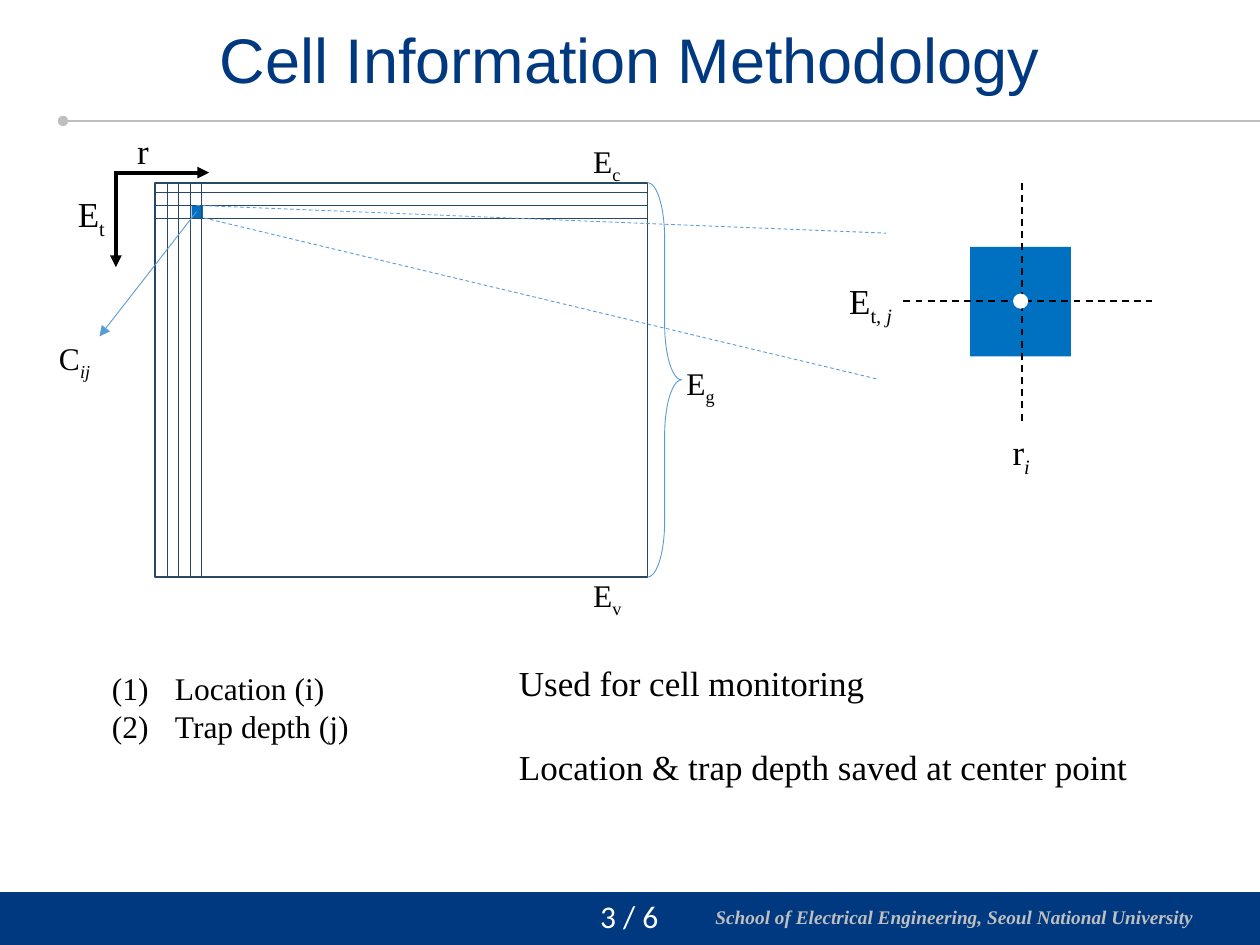
import pptx
import pptx.util
import pptx.oxml
import pptx.oxml.ns
from pptx.dml.color import RGBColor
from pptx.enum.dml import MSO_LINE
from pptx.enum.shapes import MSO_CONNECTOR, MSO_SHAPE
from pptx.enum.text import MSO_ANCHOR, MSO_AUTO_SIZE, PP_ALIGN
from pptx.util import Inches

HUE = {"navy": "00397F", "grey": "BFBFBF", "blue": "0070C0", "sky": "5B9BD5",
       "grid": "284866", "black": "000000", "white": "FFFFFF"}
rgb = {name: RGBColor.from_string(code) for name, code in HUE.items()}
SERIF = "Times New Roman"

deck = pptx.Presentation()
deck.slide_width, deck.slide_height = Inches(10), Inches(7.5)
slide = deck.slides.add_slide(deck.slide_layouts[5])
shapes = slide.shapes


def rule(x1, y1, x2, y2, hue, width, dash=False, **ends):
    """Draw a line; ends maps headEnd or tailEnd to an arrowhead type."""
    line = shapes.add_connector(MSO_CONNECTOR.STRAIGHT, Inches(x1), Inches(y1),
                                Inches(x2), Inches(y2))
    line.line.color.rgb = rgb[hue]
    line.line.width = pptx.util.Pt(width)
    if dash:
        line.line.dash_style = MSO_LINE.DASH
    props = line._element.spPr
    stroke = line.line._get_or_add_ln()
    for end, kind in ends.items():
        pptx.oxml.ns.qn("a:" + end)
        pptx_end = stroke.makeelement(pptx.oxml.ns.qn("a:" + end), {"type": kind})
        stroke.append(pptx_end)
    props.append(props.makeelement(pptx.oxml.ns.qn("a:effectLst"), {}))


def write(box, lines, size, hue="black", face=SERIF, align=PP_ALIGN.LEFT):
    """Add a text box; each line is a list of (text, is_sub, is_italic)."""
    frame = shapes.add_textbox(*map(Inches, box)).text_frame
    frame.word_wrap = True
    for n, parts in enumerate(lines):
        para = frame.paragraphs[0] if n == 0 else frame.add_paragraph()
        para.alignment = align
        para.font.size = pptx.util.Pt(size)
        para.font.name = face
        para.font.color.rgb = rgb[hue]
        for text, sub, slant in parts:
            run = para.add_run()
            run.text = text
            if slant:
                run.font.italic = True
            if sub:
                run.font._element.set("baseline", "-25000")
    return frame


# Title
title = shapes.title
title.left, title.top, title.width, title.height = map(Inches, (0.1, 0.18, 9.79, 0.65))
frame = title.text_frame
frame.text = "Cell Information Methodology"
frame.auto_size = MSO_AUTO_SIZE.NONE
frame.vertical_anchor = MSO_ANCHOR.MIDDLE
para = frame.paragraphs[0]
para.alignment = PP_ALIGN.CENTER
para.line_spacing = 0.9
para.font.size = pptx.util.Pt(36)
para.font.name = "Arial"
para.font.color.rgb = rgb["navy"]
rule(0.5, 0.96, 10, 0.96, "grey", 0.75, headEnd="oval")

# Filled and outlined shapes: kind, box, fill, line, line width
RECT = MSO_SHAPE.RECTANGLE
for kind, box, fill, edge, width in [
    (RECT, (-0.01, 7.08, 10.02, 0.43), "navy", None, 0),
    (RECT, (1.23, 1.45, 3.91, 3.13), None, "grid", 1),
    (RECT, (1.52, 1.63, 0.09, 0.1), "blue", None, 0),
    (MSO_SHAPE.RIGHT_BRACE, (5.14, 1.45, 0.27, 3.13), None, "sky", 0.5),
    (RECT, (7.7, 1.96, 0.8, 0.87), "blue", None, 0),
]:
    shape = shapes.add_shape(kind, *map(Inches, box))
    shape.shadow.inherit = False
    if fill:
        shape.fill.solid()
        shape.fill.fore_color.rgb = rgb[fill]
    else:
        shape.fill.background()
    if edge:
        shape.line.color.rgb = rgb[edge]
        shape.line.width = pptx.util.Pt(width)
    else:
        shape.line.fill.background()
    if kind == MSO_SHAPE.RIGHT_BRACE:
        shape.adjustments[0] = 1.635

# Grid of cells
for n in range(1, 5):
    x = 1.24 + 0.09 * n
    rule(x, 1.45, x, 4.58, "grid", 0.5)
for n in range(1, 4):
    y = 1.43 + 0.1 * n
    rule(1.24, y, 5.14, y, "grid", 0.5)

# Axes, pointer and zoom lines
rule(0.91, 1.37, 1.66, 1.37, "black", 2.25, tailEnd="triangle")
rule(0.92, 1.36, 0.92, 2.12, "black", 2.25, tailEnd="triangle")
rule(1.56, 1.68, 0.79, 2.67, "sky", 0.5, tailEnd="triangle")
rule(1.56, 1.63, 7.03, 1.85, "sky", 0.5, dash=True)
rule(1.62, 1.73, 6.97, 3.01, "sky", 0.5, dash=True)

# Enlarged cell with its centre point
rule(7.17, 2.39, 9.14, 2.39, "black", 1, dash=True)
rule(8.11, 1.45, 8.11, 3.35, "black", 1, dash=True)
dot = shapes.add_shape(MSO_SHAPE.OVAL, *map(Inches, (8.04, 2.33, 0.12, 0.12)))
dot.shadow.inherit = False
dot.fill.solid()
dot.fill.fore_color.rgb = rgb["white"]
dot.line.fill.background()

# Symbols: base letter, upright subscript, italic subscript
LEFT, MID = PP_ALIGN.LEFT, PP_ALIGN.CENTER
for box, base, sub, slant, size, align in [
    ((0.37, 2.64, 0.5, 0.4), "C", "", "ij", 18, LEFT),
    ((4.61, 1.08, 0.5, 0.4), "E", "c", "", 18, LEFT),
    ((4.61, 4.52, 0.5, 0.4), "E", "v", "", 18, LEFT),
    ((5.35, 2.84, 0.5, 0.4), "E", "g", "", 18, LEFT),
    ((7.82, 3.37, 0.57, 0.44), "r", "", "i", 20, MID),
    ((0.85, 0.98, 0.57, 0.44), "r", "", "", 20, MID),
    ((0.44, 1.48, 0.57, 0.44), "E", "t", "", 20, MID),
    ((6.58, 2.17, 0.66, 0.44), "E", "t", ", j", 20, MID),
]:
    parts = [(base, False, False), (sub, True, False), (slant, True, True)]
    write(box, [[part for part in parts if part[0]]], size, align=align)

# Notes under the drawing
steps = write((0.79, 5.26, 2.6, 0.71),
              [[("Location (i)", False, False)], [("Trap depth (j)", False, False)]], 18)
for para in steps.paragraphs:
    props = para._p.get_or_add_pPr()
    props.set("marL", str(Inches(0.5)))
    props.set("indent", str(-Inches(0.5)))
    mark = props.makeelement(pptx.oxml.ns.qn("a:buAutoNum"), {"type": "arabicParenBoth"})
    props.insert(0, mark)
uses = write((4.02, 5.2, 5.41, 1.11),
             [[("Used for cell monitoring", False, False)],
              [("Location & trap depth saved at center point", False, False)]], 20)
uses.paragraphs[1].space_before = pptx.util.Pt(24)

# Footer
school = write((5.58, 7.16, 4.42, 0.26),
               [[("School of Electrical Engineering, Seoul National University", False, False)]],
               11, "grey")
school.paragraphs[0].font.bold = True
school.paragraphs[0].font.italic = True
school.paragraphs[0].line_spacing = 0.85
page = write((4.51, 7.07, 0.97, 0.4), [[("3 / 6", False, False)]], 18, "white", "Calibri", MID)
page.vertical_anchor = MSO_ANCHOR.MIDDLE

deck.save("out.pptx")
